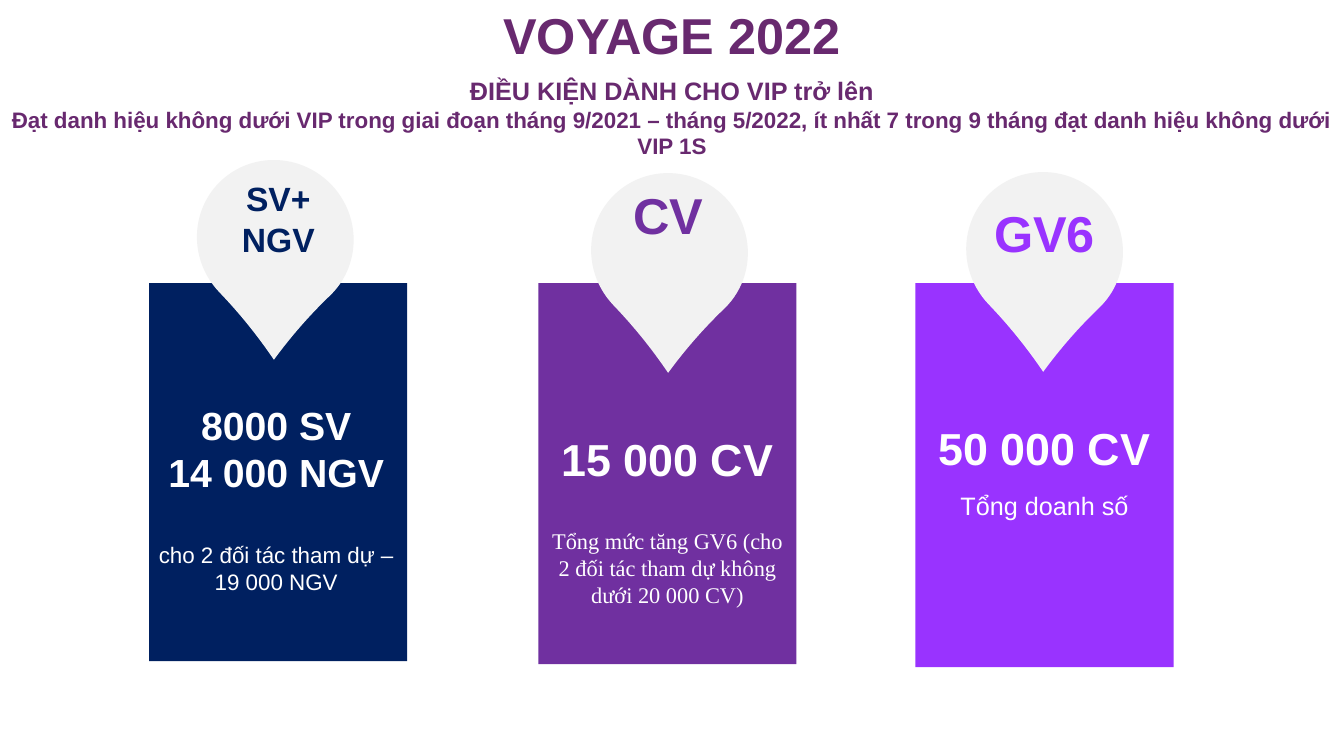
import pptx
import pptx.util
import pptx.dml.color
import pptx.enum.shapes
import pptx.enum.text
from dataclasses import dataclass

PX = 9144  # EMU per px, 100 px to the inch
WIDE, HIGH = 1333, 750


@dataclass(frozen=True)
class Theme:
    plum: str = "68296F"
    navy: str = "002060"
    grape: str = "7030A0"
    violet: str = "9933FF"
    pale: str = "F2F2F2"
    white: str = "FFFFFF"
    sans: str = "Arial"
    serif: str = "Times New Roman"
    title: int = 36
    big: int = 32
    pair: int = 28
    tag: int = 24
    lead: int = 18
    note: int = 16


THEME = Theme()


@dataclass(frozen=True)
class Line:
    text: str
    size: int
    bold: bool = True
    gap: int = 0
    font: str = THEME.sans


def paint(code):
    return pptx.dml.color.RGBColor.from_string(code)


def add_text(slide, box, lines, color):
    """Add a centred text box with one paragraph per line; return its frame."""
    frame = slide.shapes.add_textbox(*(n * PX for n in box)).text_frame
    frame.word_wrap = True
    for i, line in enumerate(lines):
        para = frame.paragraphs[0] if i == 0 else frame.add_paragraph()
        para.alignment = pptx.enum.text.PP_ALIGN.CENTER
        if line.gap:
            para.space_before = pptx.util.Pt(line.gap)
        run = para.add_run()
        run.text = line.text
        run.font.name = line.font
        run.font.size = pptx.util.Pt(line.size)
        run.font.bold = line.bold
        run.font.color.rgb = paint(color)
    return frame


def add_block(slide, kind, box, color):
    shape = slide.shapes.add_shape(kind, *(n * PX for n in box))
    shape.shadow.inherit = False
    shape.fill.solid()
    shape.fill.fore_color.rgb = paint(color)
    shape.line.fill.background()
    return shape


def add_head(slide, box):
    left, top, wide, high = box
    add_text(slide, (left, top + 70, wide, 94), [
        Line("ĐIỀU KIỆN DÀNH CHO VIP trở lên", THEME.lead),
        Line("Đạt danh hiệu không dưới VIP trong giai đoạn tháng 9/2021 – tháng 5/2022, "
             "ít nhất 7 trong 9 tháng đạt danh hiệu không dưới VIP 1S", THEME.note),
    ], THEME.plum)
    frame = add_text(slide, (left, top + 19, wide, 37),
                     [Line("VOYAGE 2022", THEME.title)], THEME.plum)
    frame.margin_left = frame.margin_right = frame.margin_top = frame.margin_bottom = 0
    frame.vertical_anchor = pptx.enum.text.MSO_ANCHOR.MIDDLE
    frame.paragraphs[0].line_spacing = 0.9


def add_card(slide, box, color, pin, tag, body):
    """Draw a panel with a pin; pin, tag and body start with offsets in the box."""
    left, top, wide, high = box
    kinds = pptx.enum.shapes.MSO_SHAPE
    add_block(slide, kinds.RECTANGLE, box, color)
    drop = add_block(slide, kinds.TEAR, (left + pin[0], top + pin[1], 154, 157), THEME.pale)
    drop.adjustments[0] = 1.095
    drop.rotation = 136.2
    x, y, line = tag
    add_text(slide, (left + x, top + y, 128, 71), [line], color)
    x, y, lines = body
    add_text(slide, (left + x, top + y, wide, high - y), lines, THEME.white)


def main():
    deck = pptx.Presentation()
    deck.slide_width, deck.slide_height = WIDE * PX, HIGH * PX
    slide = deck.slides.add_slide(deck.slide_layouts[6])
    slide.background.fill.solid()
    slide.background.fill.fore_color.rgb = paint(THEME.white)

    add_head(slide, (0, 0, WIDE, 164))
    add_card(slide, (148, 281, 256, 375), THEME.navy, (48, -123),
             (64, -109, Line("SV+ NGV", THEME.tag)),
             (-2, 112, [
                 Line("8000 SV", THEME.pair),
                 Line("14 000 NGV", THEME.pair),
                 Line("cho 2 đối tác tham dự – 19 000 NGV", THEME.note, False, 33),
             ]))
    add_card(slide, (534, 281, 256, 378), THEME.grape, (53, -110),
             (65, -103, Line("CV", THEME.title)),
             (0, 142, [
                 Line("15 000 СV", THEME.big),
                 Line("Tổng mức tăng GV6 (cho 2 đối tác tham dự không dưới 20 000 CV)",
                      THEME.note, False, 30, THEME.serif),
             ]))
    add_card(slide, (908, 281, 256, 381), THEME.violet, (51, -111),
             (64, -85, Line("GV6", THEME.title)),
             (0, 131, [
                 Line("50 000 CV", THEME.big),
                 Line("Tổng doanh số", THEME.lead, False, 12),
             ]))
    deck.save("out.pptx")


if __name__ == "__main__":
    main()
